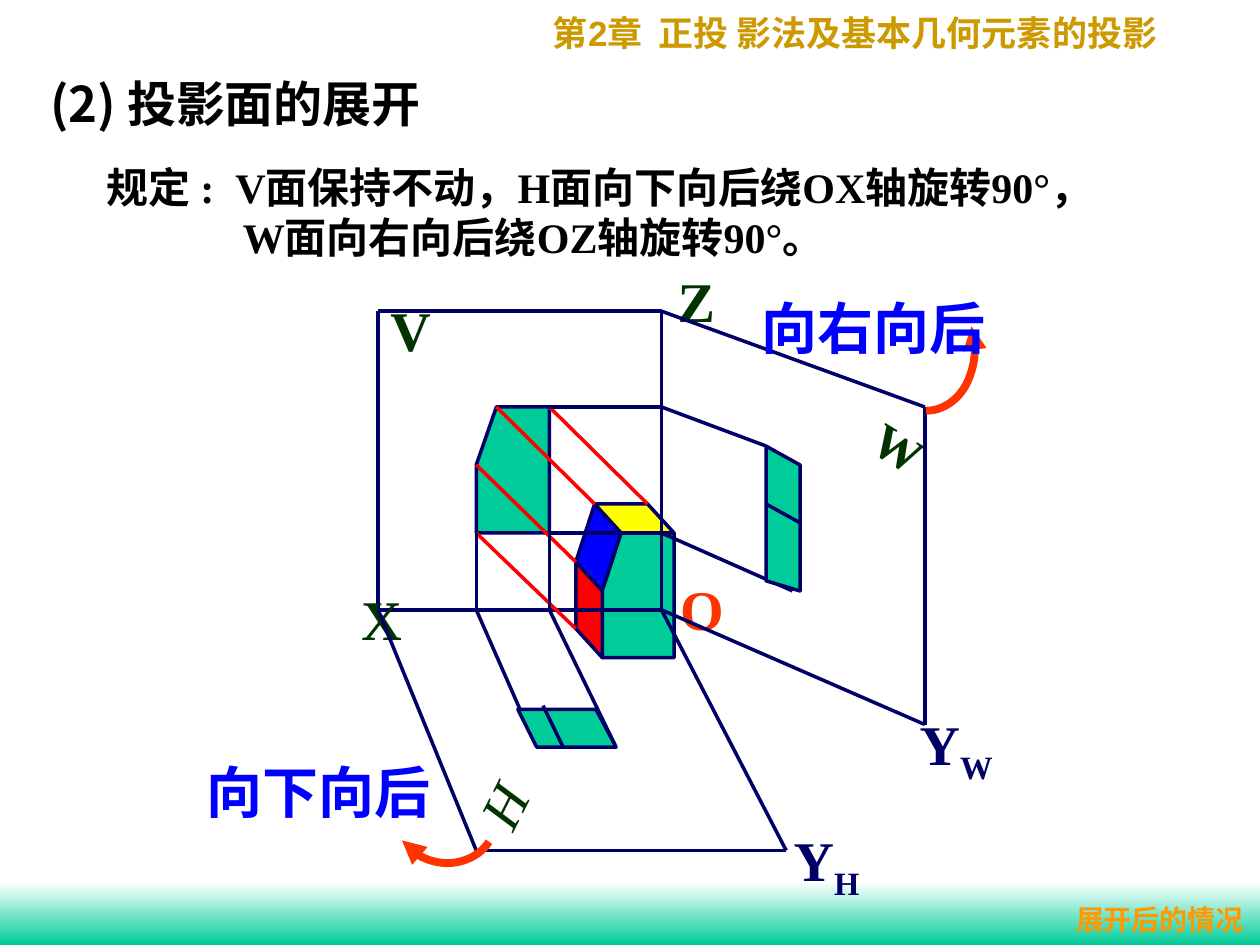
from lxml.etree import SubElement
from pptx import Presentation
from pptx.dml.color import RGBColor
from pptx.enum.shapes import MSO_CONNECTOR, MSO_SHAPE
from pptx.enum.text import MSO_ANCHOR, PP_ALIGN
from pptx.oxml.ns import qn
from pptx.util import Inches, Pt

WHITE = RGBColor(0xFF, 0xFF, 0xFF)
BLACK = RGBColor(0, 0, 0)
NAVY = RGBColor(0, 0, 0x66)
GREEN = RGBColor(0, 0xCC, 0x99)
DARK_GREEN = RGBColor(0, 0x33, 0)
BLUE = RGBColor(0, 0, 0xFF)
YELLOW = RGBColor(0xFF, 0xFF, 0)
RED = RGBColor(0xFF, 0, 0)
ORANGE_RED = RGBColor(0xFF, 0x33, 0)
ORANGE = RGBColor(0xFF, 0x99, 0)
GOLD = RGBColor(0xCC, 0x99, 0)
SERIF = "Times New Roman"
CHINESE = "Noto Sans CJK SC"

CUBOID = [
    ([(4.93, 4.23), (4.72, 4), (4.57, 4.46), (4.78, 4.69)], BLUE),
    ([(4.93, 4.23), (5.35, 4.23), (5.35, 5.22), (4.78, 5.22), (4.78, 4.69)], GREEN),
    ([(5.35, 4.23), (5.14, 4), (4.72, 4), (4.93, 4.23)], YELLOW),
    ([(4.78, 4.69), (4.57, 4.46), (4.57, 4.99), (4.78, 5.22)], RED),
]
FRONT_VIEW = [(3.94, 3.23), (4.36, 3.23), (4.36, 4.23), (3.78, 4.23), (3.78, 3.69)]
TOP_VIEW = [(4.11, 5.63), (4.73, 5.63), (4.89, 5.93), (4.26, 5.93)]
SIDE_VIEW = [(6.35, 3.69), (6.35, 4.69), (6.08, 4.61), (6.08, 3.54)]
V_PLANE = [(3, 2.47), (5.25, 2.47), (5.25, 4.84), (3, 4.84)]
H_PLANE = [(3, 4.84), (3.78, 6.75), (6.24, 6.75), (5.25, 4.84)]
W_PLANE = [(5.25, 2.47), (7.34, 3.23), (7.34, 5.75), (5.25, 4.84)]
PROJECTORS = [
    ((4.57, 4.46), (3.78, 3.69)),
    ((4.72, 4), (3.94, 3.23)),
    ((5.14, 4), (4.36, 3.23)),
    ((4.57, 4.99), (3.78, 4.23)),
]
LINKS_TO_H = [
    [(3.78, 4.23), (3.78, 4.84), (4.25, 5.91)],
    [(4.36, 4.23), (4.36, 4.84), (4.88, 5.91)],
]
LINKS_TO_W = [
    [(4.36, 3.23), (5.25, 3.23), (6.08, 3.54)],
    [(4.36, 4.23), (5.25, 4.23), (6.29, 4.69)],
]
H_TURN = [
    [(3.88, 6.68), (3.82, 6.78), (3.69, 6.85), (3.55, 6.85)],
    [(3.55, 6.85), (3.41, 6.85), (3.27, 6.78), (3.19, 6.67)],
]
W_TURN = [
    [(7.35, 3.26), (7.48, 3.26), (7.6, 3.18), (7.67, 3.05)],
    [(7.67, 3.05), (7.74, 2.91), (7.76, 2.74), (7.71, 2.59)],
]
LABELS = [
    ("X", 2.77, 4.59, 0.52, 32, DARK_GREEN, 0),
    ("Z", 5.28, 2.07, 0.5, 32, DARK_GREEN, 0),
    ("V", 3, 2.3, 0.52, 32, DARK_GREEN, 0),
    ("W", 6.85, 3.26, 0.59, 28, DARK_GREEN, 31.2),
    ("O", 5.3, 4.51, 0.54, 32, ORANGE_RED, 0),
]


def add_freeform(page, points, color, width, fill=None):
    corners = [(Inches(x), Inches(y)) for x, y in points]
    builder = page.shapes.build_freeform(*corners[0])
    builder.add_line_segments(corners[1:], close=fill is not None)
    shape = builder.convert_to_shape()
    shape.shadow.inherit = False
    shape.line.color.rgb = color
    shape.line.width = Pt(width)
    if fill is None:
        shape.fill.background()
    else:
        shape.fill.solid()
        shape.fill.fore_color.rgb = fill
    return shape


def add_face(page, points, fill):
    add_freeform(page, points, NAVY, 2, fill)


def add_line(page, start, end, color=NAVY):
    ends = [Inches(value) for value in (*start, *end)]
    line = page.shapes.add_connector(MSO_CONNECTOR.STRAIGHT, *ends)
    line.line.color.rgb = color
    line.line.width = Pt(2)
    SubElement(line._element.spPr, qn("a:effectLst"))


def add_chain(page, points):
    for start, end in zip(points, points[1:]):
        add_line(page, start, end)


def curve_point(controls, t):
    weights = ((1 - t) ** 3, 3 * t * (1 - t) ** 2, 3 * t * t * (1 - t), t ** 3)
    return tuple(sum(w * p[axis] for w, p in zip(weights, controls)) for axis in (0, 1))


def add_turn_arrow(page, curves, steps=12):
    points = [curves[0][0]]
    for controls in curves:
        points += [curve_point(controls, step / steps) for step in range(1, steps + 1)]
    arrow = add_freeform(page, points, ORANGE_RED, 4.5)
    SubElement(arrow.line._get_or_add_ln(), qn("a:tailEnd"), type="triangle")


def add_text(page, lines, left, top, width, height, size, color, font=SERIF,
             bold=True, wrap=False, align=PP_ALIGN.LEFT, anchor=MSO_ANCHOR.TOP):
    box = page.shapes.add_textbox(Inches(left), Inches(top), Inches(width), Inches(height))
    frame = box.text_frame
    frame.word_wrap = wrap
    frame.vertical_anchor = anchor
    for index, text in enumerate(lines):
        para = frame.paragraphs[0] if index == 0 else frame.add_paragraph()
        para.add_run().text = text
        para.alignment = align
        para.font.size = Pt(size)
        para.font.bold = bold
        para.font.name = font
        para.font.color.rgb = color
    return box


def indent(para, amount):
    para._p.get_or_add_pPr().set("marL", str(Inches(amount)))


def add_axis_label(page, subscript, left, top, width):
    box = add_text(page, ["Y"], left, top, width, 0.71, 32, NAVY)
    span = box.text_frame.paragraphs[0].add_run()
    span.text = subscript
    span._r.get_or_add_rPr().set("baseline", "-25000")


def add_footer_band(page):
    band = page.shapes.add_shape(MSO_SHAPE.RECTANGLE, 0, Inches(7), Inches(10), Inches(0.5))
    band.shadow.inherit = False
    band.line.fill.background()
    band.fill.gradient()
    band.fill.gradient_angle = 270
    for stop, color, position in zip(band.fill.gradient_stops, (WHITE, GREEN), (0, 1)):
        stop.color.rgb = color
        stop.position = position


def add_headings(page):
    header = add_text(page, ["第"], 4.29, 0.04, 5.29, 0.44, 20, GOLD, wrap=True)
    para = header.text_frame.paragraphs[0]
    number = para.add_run()
    number.text = "2"
    number.font.name = "Arial"
    para.add_run().text = "章  正投 影法及基本几何元素的投影"
    title = add_text(page, ["(2) 投影面的展开"], 0.04, 0.4, 5.17, 0.83, 28, BLACK,
                     font=CHINESE, wrap=True, anchor=MSO_ANCHOR.MIDDLE)
    indent(title.text_frame.paragraphs[0], 0.26)
    rule = add_text(page, ["规定 :  V面保持不动，H面向下向后绕OX轴旋转90°，",
                           "W面向右向后绕OZ轴旋转90°。"],
                    0.75, 1.23, 8.66, 0.9, 24, BLACK, wrap=True)
    indent(rule.text_frame.paragraphs[1], 1.08)


def add_diagram(page):
    for points, fill in CUBOID:
        add_face(page, points, fill)
    add_face(page, FRONT_VIEW, GREEN)
    add_chain(page, V_PLANE + V_PLANE[:1])
    for text, left, top, width, size, color, angle in LABELS:
        label = add_text(page, [text], left, top, width, 0.02 * size, size, color)
        label.rotation = angle
    h_label = add_text(page, ["H"], 3.73, 6.07, 0.52, 0.64, 32, DARK_GREEN, bold=False)
    h_label.text_frame.paragraphs[0].font.italic = True
    h_label.rotation = 296.8
    for start, end in PROJECTORS:
        add_line(page, start, end, RED)
    for points in [H_PLANE, W_PLANE, *LINKS_TO_H, *LINKS_TO_W]:
        add_chain(page, points)
    add_face(page, TOP_VIEW, GREEN)
    add_line(page, (4.31, 5.6), (4.47, 5.93))
    add_face(page, SIDE_VIEW, GREEN)
    add_line(page, (6.35, 4.15), (6.08, 4))
    add_axis_label(page, "W", 7.2, 5.58, 0.78)
    add_axis_label(page, "H", 6.2, 6.5, 0.72)
    add_turn_arrow(page, H_TURN)
    add_turn_arrow(page, W_TURN)


def main():
    deck = Presentation()
    deck.slide_width, deck.slide_height = Inches(10), Inches(7.5)
    page = deck.slides.add_slide(deck.slide_layouts[6])
    add_footer_band(page)
    add_headings(page)
    add_diagram(page)
    for text, left, top, width, height, size, color in [
        ("展开后的情况", 8.44, 7.11, 1.53, 0.37, 16, ORANGE),
        ("向下向后", 1.54, 5.96, 1.98, 0.64, 32, BLUE),
        ("向右向后", 5.94, 2.28, 1.98, 0.64, 32, BLUE),
    ]:
        add_text(page, [text], left, top, width, height, size, color,
                 align=PP_ALIGN.CENTER, anchor=MSO_ANCHOR.MIDDLE)
    deck.save("out.pptx")


if __name__ == "__main__":
    main()
